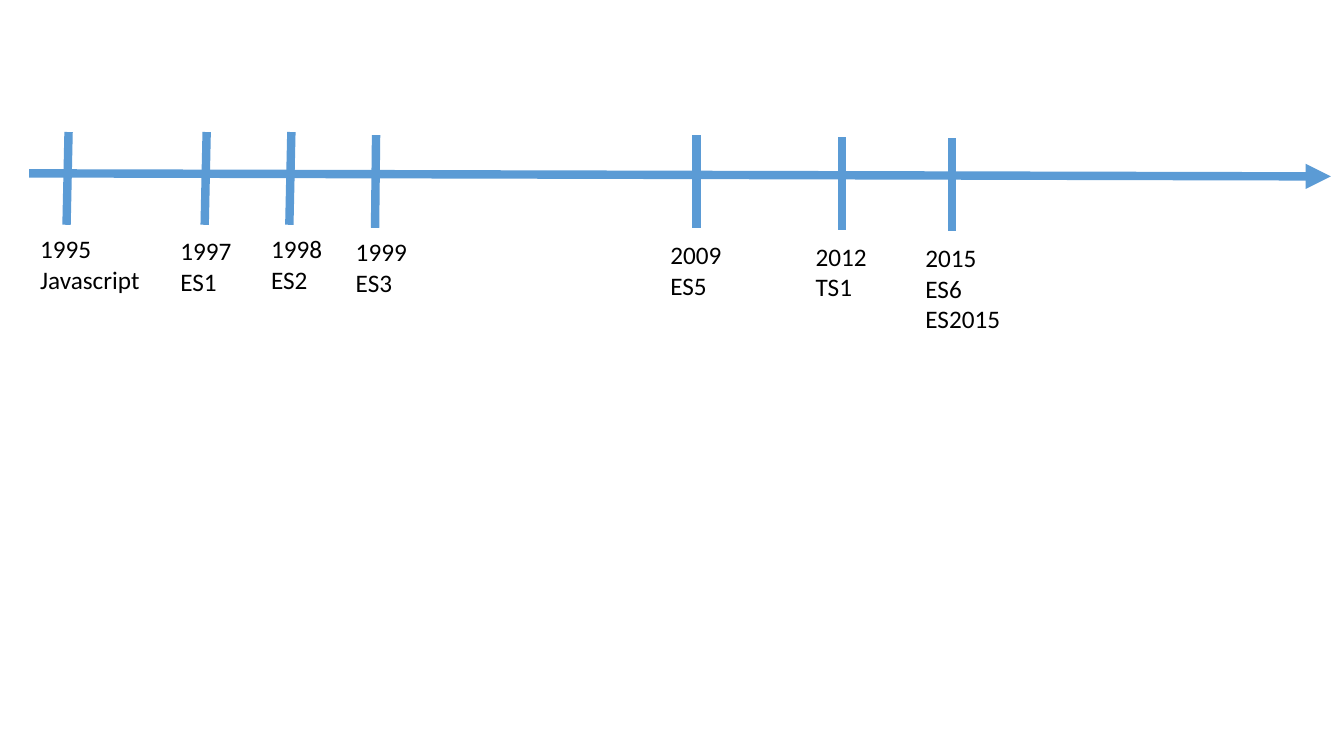
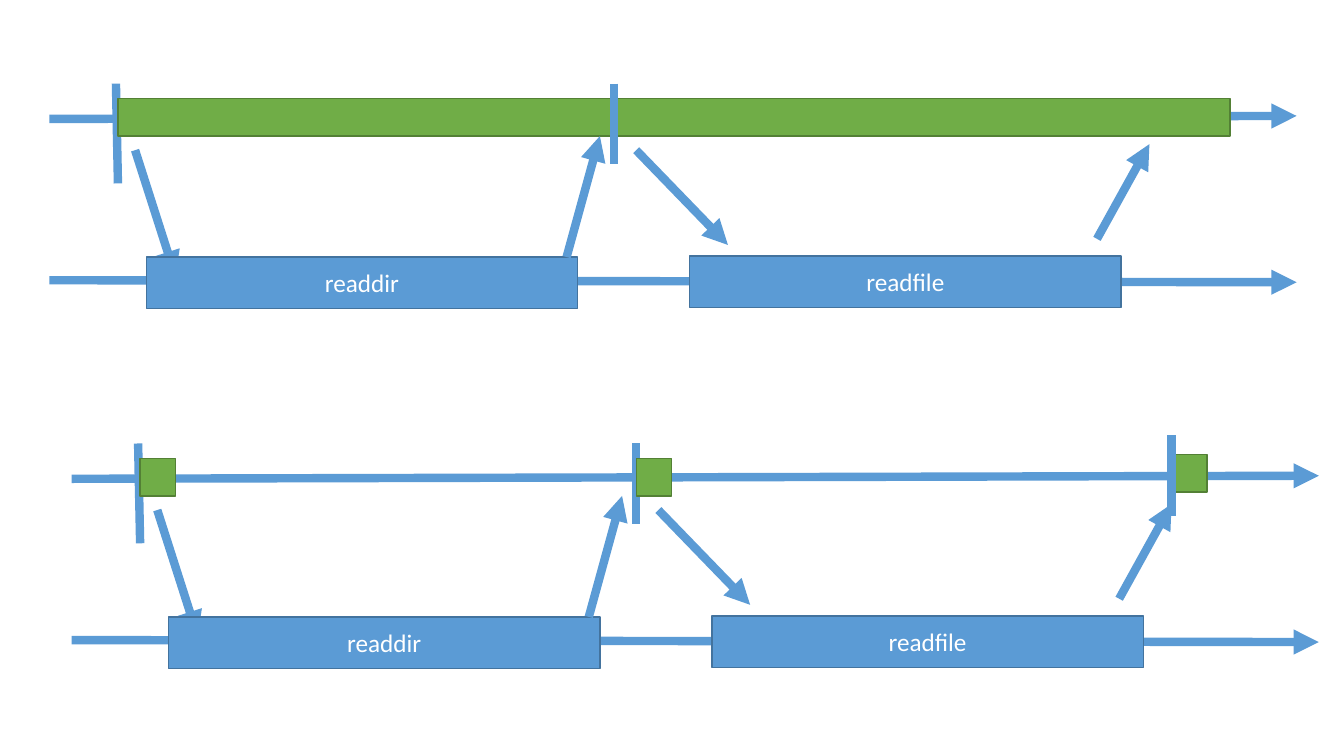
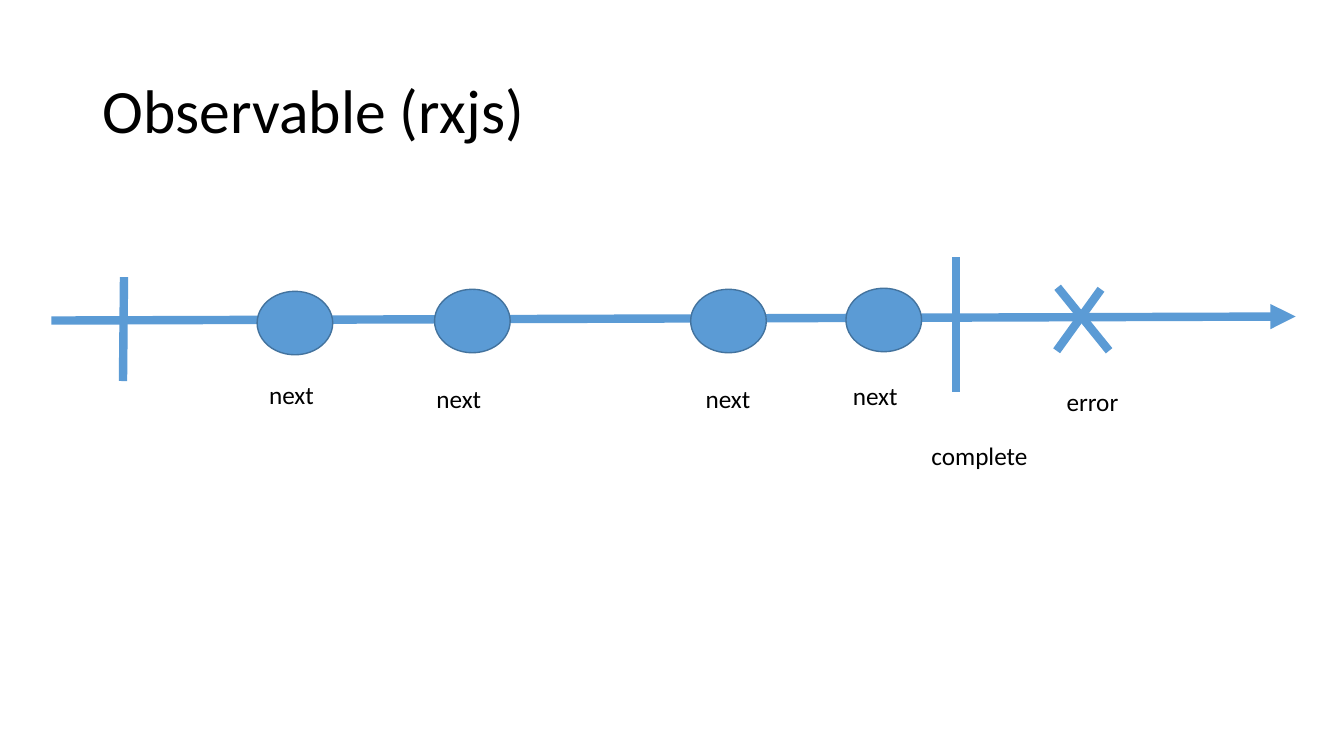
from pptx import Presentation
from pptx.dml.color import RGBColor as RGB
from pptx.enum.shapes import MSO_CONNECTOR as LINK, MSO_SHAPE as KIND
from pptx.enum.text import MSO_ANCHOR as ANCHOR, MSO_AUTO_SIZE as FIT, PP_ALIGN as ALIGN
from pptx.oxml.ns import qn
from pptx.util import Inches, Pt
from lxml.etree import SubElement as add_tag

FONT = "Calibri"
BLUE, NAVY = "5B9BD5", "43739E"
GREEN, MOSS = "70AD47", "538035"
BLACK, WHITE = "000000", "FFFFFF"

# Tick: top x, top y, lean; label: left, top, width, lines
YEARS = [
    (0.68, 1.31, 0.02, 0.3, 2.27, 1.2, ["1995", "Javascript"]),
    (2.05, 1.31, 0.02, 1.69, 2.29, 0.71, ["1997", "ES1"]),
    (2.89, 1.31, 0.02, 2.59, 2.27, 0.71, ["1998", "ES2"]),
    (3.73, 1.34, 0.01, 3.43, 2.3, 0.71, ["1999", "ES3"]),
    (6.91, 1.34, 0, 6.55, 2.33, 0.71, ["2009", "ES5"]),
    (8.35, 1.36, 0, 7.99, 2.34, 0.71, ["2012", "TS1"]),
    (9.44, 1.37, 0, 9.08, 2.36, 0.95, ["2015", "ES6", "ES2015"]),
]
TICK = 0.92

# Flow panels: offset, width of the first busy block, later blocks, end ticks
FLOWS = [
    (0, 0, 11.03, [], []),
    (0.22, 3.57, 0.35, [(6.09, 0.98), (11.4, 0.94)], [(11.4, 0.75)]),
]
TASKS = [("readdir", 1.45, 2.55), ("readfile", 6.84, 2.54)]
CALLS = [(1.34, 1.49, 1.74, 2.74)]
BACKS = [(5.62, 2.55, 5.95, 1.35), (6.31, 1.49, 7.22, 2.43),
         (10.88, 2.37, 11.4, 1.43)]

TITLE = "Observable (rxjs)"
DOTS = [(2.55, 2.89), (4.31, 2.87), (6.85, 2.87), (8.39, 2.86)]
BARS = [(1.23, 2.75, 1.22, 3.78), (9.48, 2.55, 9.48, 3.89),
        (10.49, 2.85, 11, 3.48), (10.92, 2.87, 10.48, 3.48)]
NOTES = [
    ("next", 2.57, 3.71, 0.65), ("next", 4.23, 3.75, 0.65),
    ("next", 6.9, 3.75, 0.65), ("next", 8.36, 3.72, 0.65),
    ("complete", 9.14, 4.32, 1.17), ("error", 10.48, 3.78, 0.72),
]


def color(text):
    """Turn a hex string into a colour."""
    return RGB.from_string(text)


def style(frame, size, ink, align=ALIGN.LEFT):
    """Format every run of a text frame."""
    for para in frame.paragraphs:
        para.alignment = align
        for run in para.runs:
            run.font.name = FONT
            run.font.size = Pt(size)
            run.font.color.rgb = color(ink)


def line(slide, x1, y1, x2, y2, head=False):
    """Draw a thick blue line, with an arrowhead at its end if asked."""
    link = slide.shapes.add_connector(
        LINK.STRAIGHT, Inches(x1), Inches(y1), Inches(x2), Inches(y2))
    link.line.width = Pt(6)
    link.line.color.rgb = color(BLUE)
    props = link._element.spPr
    if head:
        add_tag(props.find(qn("a:ln")), qn("a:tailEnd"), type="triangle")
    add_tag(props, qn("a:effectLst"))


def block(slide, kind, x, y, wide, high, fill, edge, text=""):
    """Draw a filled shape with a centred white text."""
    shape = slide.shapes.add_shape(
        kind, Inches(x), Inches(y), Inches(wide), Inches(high))
    shape.shadow.inherit = False
    shape.fill.solid()
    shape.fill.fore_color.rgb = color(fill)
    shape.line.color.rgb = color(edge)
    shape.line.width = Pt(1)
    if text:
        shape.text_frame.text = text
        shape.text_frame.vertical_anchor = ANCHOR.MIDDLE
        style(shape.text_frame, 18, WHITE, ALIGN.CENTER)


def label(slide, x, y, wide, lines):
    """Write a black label, one paragraph a line."""
    high = 0.1 + 0.3 * len(lines)
    box = slide.shapes.add_textbox(
        Inches(x), Inches(y), Inches(wide), Inches(high))
    frame = box.text_frame
    frame.text = "\n".join(lines)
    frame.word_wrap = False
    frame.auto_size = FIT.SHAPE_TO_FIT_TEXT
    style(frame, 18, BLACK)


def draw_years(slide):
    """Draw the dated timeline."""
    line(slide, 0.29, 1.72, 13.2, 1.75, True)
    for x, y, lean, left, top, wide, lines in YEARS:
        line(slide, x, y, x - lean, y + TICK)
        label(slide, left, top, wide, lines)


def draw_flow(slide, dx, dy, wide, later, ends):
    """Draw a main lane and a worker lane, with the calls between them."""
    def move(x1, y1, x2, y2, head=False):
        """Draw a line shifted to this panel."""
        line(slide, x1 + dx, y1 + dy, x2 + dx, y2 + dy, head)

    def busy(x, y, span):
        """Draw a green block on the main lane."""
        block(slide, KIND.RECTANGLE, x + dx, y + dy, span, 0.37, GREEN, MOSS)

    move(0.49, 1.18, 12.86, 1.15, True)
    move(1.15, 0.83, 1.17, 1.82)
    busy(1.17, 0.98, wide)
    for call in CALLS:
        move(*call, True)
    move(0.49, 2.78, 12.86, 2.8, True)
    for name, x, y in TASKS:
        block(slide, KIND.RECTANGLE, x + dx, y + dy, 4.28, 0.51,
              BLUE, NAVY, name)
    for back in BACKS:
        move(*back, True)
    move(6.09, 0.83, 6.09, 1.63)
    for x, y in later:
        busy(x, y, 0.35)
    for x, y in ends:
        move(x, y, x, y + 0.8)


def draw_stream(slide):
    """Draw the titled stream of events."""
    title = slide.shapes.title
    title.left, title.top = Inches(0.92), Inches(0.4)
    title.width, title.height = Inches(11.5), Inches(1.45)
    frame = title.text_frame
    frame.text = TITLE
    frame.vertical_anchor = ANCHOR.MIDDLE
    frame.paragraphs[0].line_spacing = 0.9
    style(frame, 44, BLACK)
    line(slide, 0.51, 3.18, 12.85, 3.14, True)
    for x, y in DOTS:
        block(slide, KIND.OVAL, x, y, 0.75, 0.63, BLUE, NAVY)
    for bar in BARS:
        line(slide, *bar)
    for text, x, y, wide in NOTES:
        label(slide, x, y, wide, [text])


deck = Presentation()
deck.slide_width, deck.slide_height = Inches(13.33), Inches(7.5)
titled, blank = deck.slide_layouts[5], deck.slide_layouts[6]
draw_years(deck.slides.add_slide(blank))
flows = deck.slides.add_slide(blank)
for flow in FLOWS:
    draw_flow(flows, *flow)
draw_stream(deck.slides.add_slide(titled))
deck.save("out.pptx")
